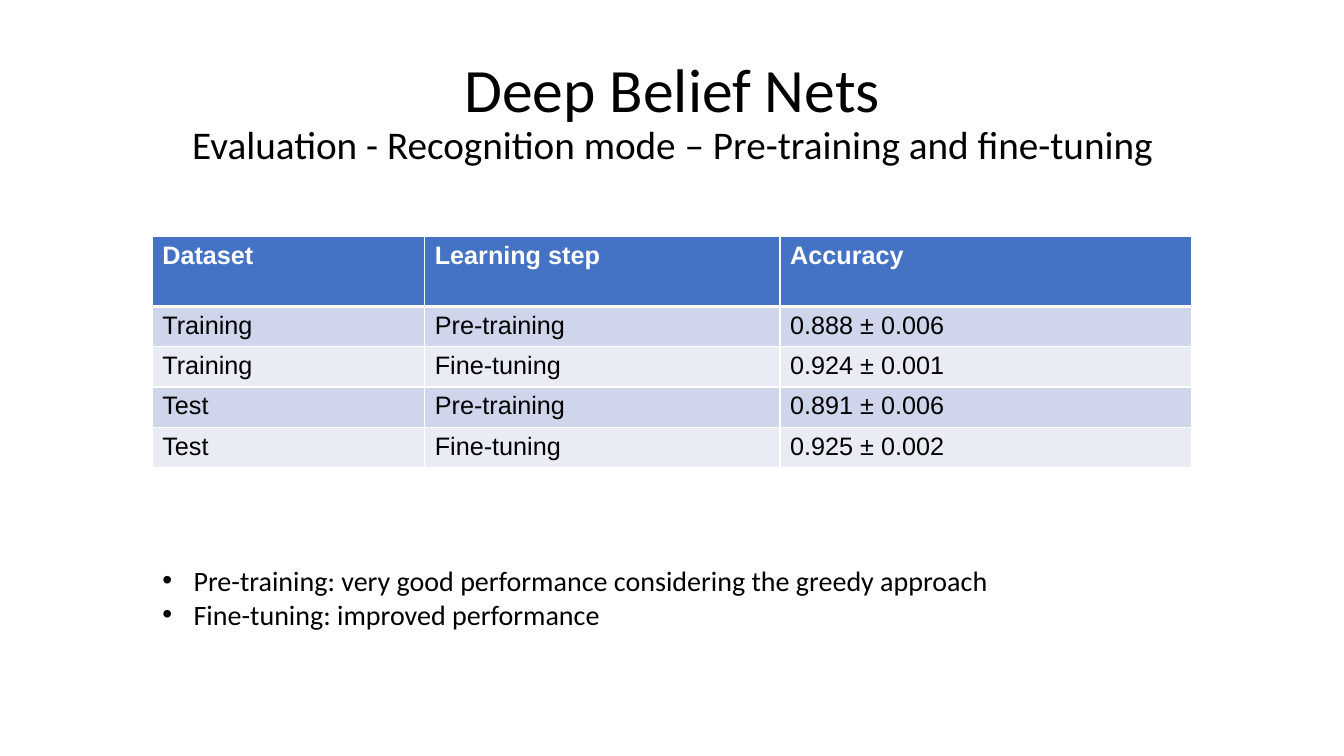
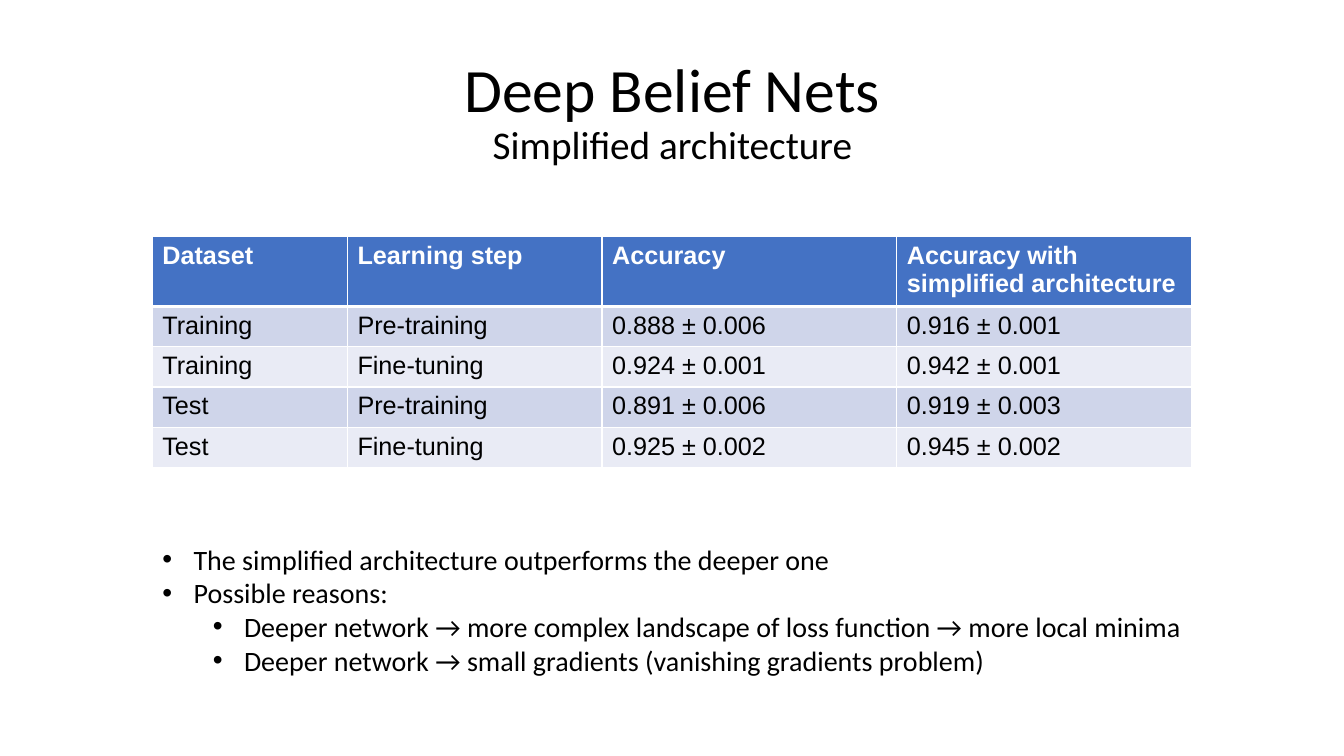
from lxml.etree import SubElement
from pptx import Presentation
from pptx.dml.color import RGBColor
from pptx.enum.text import MSO_ANCHOR, MSO_AUTO_SIZE, PP_ALIGN
from pptx.oxml.ns import qn
from pptx.util import Inches, Pt

WIDE, HIGH = Inches(13.33), Inches(7.5)
BLACK = RGBColor(0x00, 0x00, 0x00)
WHITE = RGBColor(0xFF, 0xFF, 0xFF)
BLUE = RGBColor(0x44, 0x72, 0xC4)
BANDS = RGBColor(0xCF, 0xD5, 0xEA), RGBColor(0xE9, 0xEB, 0xF5)

# Places are left, top, width and height as percent of the slide.
TITLE = 6.9, 5.33, 86.27, 19.33
TABLE = 11.33, 31.33, 77.34, 30.53
HEAD, ROW = 9.2, 5.33
WEIGHTS = 1.94, 2.53, 2.93, 2.93

MAIN = dict(name="Calibri", size=Pt(44))
SUB = dict(name="Calibri", size=Pt(28))
LIST = dict(name="Calibri", size=Pt(20))
CELL = dict(name="Arial", size=Pt(18), bold=False)
TOP = CELL | dict(bold=True)
FRAME = dict(word_wrap=True, auto_size=MSO_AUTO_SIZE.NONE)

FIELDS = ["Dataset", "Learning step", "Accuracy"]
ROWS = [
    ["Training", "Pre-training", "0.888 ± 0.006"],
    ["Training", "Fine-tuning", "0.924 ± 0.001"],
    ["Test", "Pre-training", "0.891 ± 0.006"],
    ["Test", "Fine-tuning", "0.925 ± 0.002"],
]
SIMPLE = [
    "Accuracy with simplified architecture",
    "0.916 ± 0.001", "0.942 ± 0.001", "0.919 ± 0.003", "0.945 ± 0.002",
]


def across(share):
    return round(WIDE * share / 100)


def down(share):
    return round(HIGH * share / 100)


def box(place):
    left, top, width, height = place
    return across(left), down(top), across(width), down(height)


def apply(item, form):
    for key, value in form.items():
        setattr(item, key, value)


def move(shape, place):
    apply(shape, dict(zip(("left", "top", "width", "height"), box(place))))


def write(para, text, form, color=BLACK):
    run = para.add_run()
    run.text = text
    apply(run.font, form)
    run.font.color.rgb = color


def bullet(para, level):
    """Give a paragraph a round bullet with a hanging indent."""
    props = para._p.get_or_add_pPr()
    props.set("marL", str(Inches(0.31 + 0.5 * level)))
    props.set("indent", str(-Inches(0.31)))
    SubElement(props, qn("a:buFont"), typeface="Arial")
    SubElement(props, qn("a:buChar"), char="•")


def border(cell, row):
    """Draw white edges, thick between the header and the first row."""
    props = cell._tc.get_or_add_tcPr()
    thick = {0: "B", 1: "T"}.get(row)
    for side in "LRTB":
        width = Pt(3 if side == thick else 1)
        line = SubElement(props, qn(f"a:ln{side}"), w=str(width))
        fill = SubElement(line, qn("a:solidFill"))
        SubElement(fill, qn("a:srgbClr"), val=str(WHITE))


def add_title(slide, sub):
    shape = slide.shapes.title
    move(shape, TITLE)
    frame = shape.text_frame
    apply(frame, FRAME | dict(vertical_anchor=MSO_ANCHOR.MIDDLE))
    para = frame.paragraphs[0]
    apply(para, dict(alignment=PP_ALIGN.CENTER, line_spacing=0.9))
    write(para, "Deep Belief Nets", MAIN)
    para.add_line_break()
    write(para, sub, SUB)


def add_grid(slide, data):
    count = len(data[0])
    table = slide.shapes.add_table(len(data), count, *box(TABLE)).table
    total = sum(WEIGHTS[:count])
    for col, weight in zip(table.columns, WEIGHTS):
        col.width = across(TABLE[2] * weight / total)
    for i, texts in enumerate(data):
        table.rows[i].height = down(ROW if i else HEAD)
        for j, text in enumerate(texts):
            cell = table.cell(i, j)
            border(cell, i)
            cell.fill.solid()
            cell.fill.fore_color.rgb = BANDS[(i - 1) % 2] if i else BLUE
            para = cell.text_frame.paragraphs[0]
            write(para, text, CELL if i else TOP, BLACK if i else WHITE)


def add_list(slide, place, items):
    """Fill the body with (level, text) items."""
    shape = slide.placeholders[1]
    move(shape, place)
    frame = shape.text_frame
    apply(frame, FRAME | dict(vertical_anchor=MSO_ANCHOR.TOP))
    for i, (level, text) in enumerate(items):
        para = frame.add_paragraph() if i else frame.paragraphs[0]
        apply(para, dict(level=level, space_before=Pt(0)))
        bullet(para, level)
        write(para, text, LIST)


def add_page(deck, sub, data, place, items):
    slide = deck.slides.add_slide(deck.slide_layouts[1])
    add_title(slide, sub)
    add_grid(slide, data)
    add_list(slide, place, items)


def main():
    deck = Presentation()
    apply(deck, dict(slide_width=WIDE, slide_height=HIGH))
    base = [FIELDS, *ROWS]
    add_page(
        deck, "Evaluation - Recognition mode – Pre-training and fine-tuning",
        base, (11.33, 73.87, 82.75, 14.4),
        [
            (0, "Pre-training: very good performance considering "
                "the greedy approach"),
            (0, "Fine-tuning: improved performance"),
        ],
    )
    add_page(
        deck, "Simplified architecture",
        [row + [extra] for row, extra in zip(base, SIMPLE)],
        (11.33, 71.07, 77.34, 21.2),
        [
            (0, "The simplified architecture outperforms the deeper one"),
            (0, "Possible reasons:"),
            (1, "Deeper network → more complex landscape of loss function "
                "→ more local minima"),
            (1, "Deeper network → small gradients "
                "(vanishing gradients problem)"),
        ],
    )
    deck.save("out.pptx")


if __name__ == "__main__":
    main()
